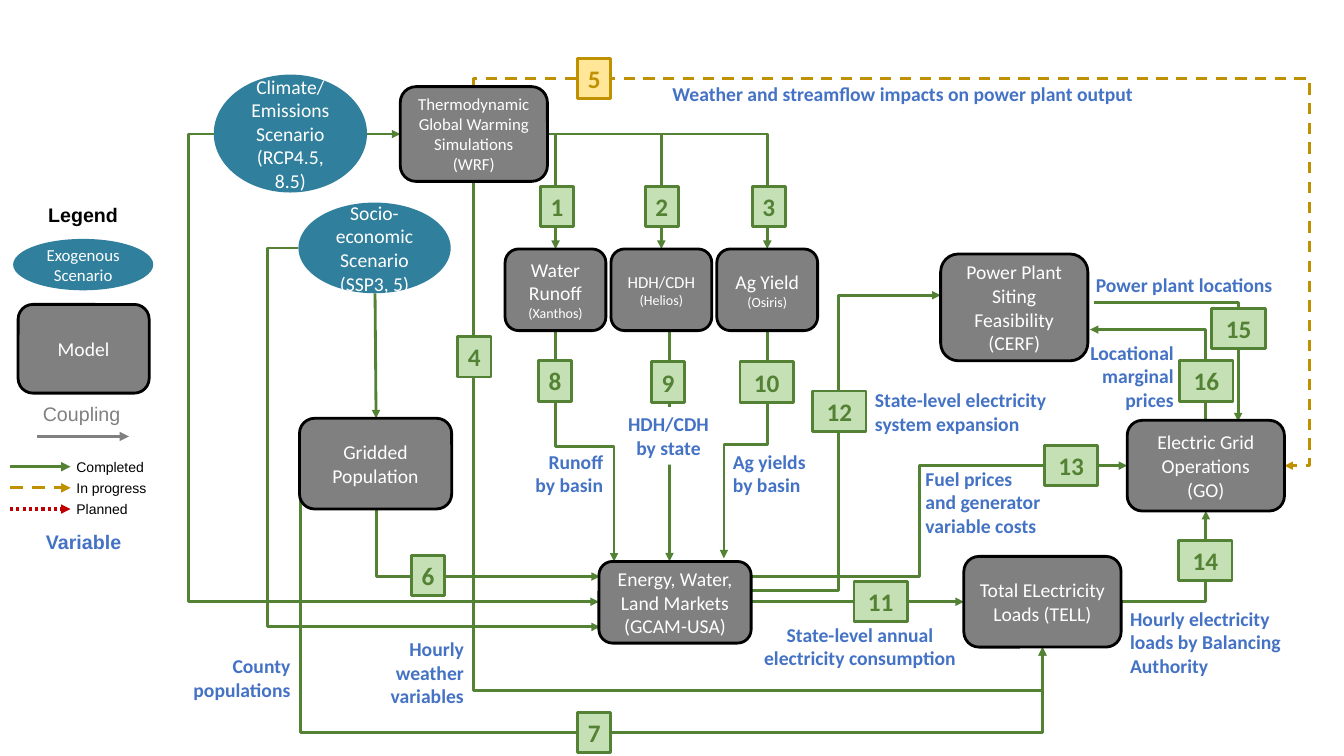
"""Build a flow diagram of coupled climate, energy and electricity models."""
from dataclasses import dataclass

import lxml.etree
import pptx
import pptx.dml.color
import pptx.enum.dml
import pptx.enum.shapes
import pptx.enum.text
import pptx.oxml.ns
import pptx.util

Inches = pptx.util.Inches
qn = pptx.oxml.ns.qn
Shape = pptx.enum.shapes.MSO_SHAPE
Dash = pptx.enum.dml.MSO_LINE
Align = pptx.enum.text.PP_ALIGN
Anchor = pptx.enum.text.MSO_ANCHOR

COLORS = {
    "scenario": "307F9C", "model": "808080", "outline": "000000", "white": "FFFFFF",
    "variable": "4472C4", "done": "548235", "done_fill": "C5E0B4",
    "progress": "BF9000", "progress_fill": "FFE699", "planned": "C00000",
}


@dataclass
class Arrow:
    points: list[tuple[float, float]]
    color: str = "done"
    width: float = 2
    dash: Dash | None = None
    end: str = "tailEnd"


@dataclass
class Node:
    text: str
    left: float
    top: float
    width: float
    height: float
    kind: Shape = Shape.ROUNDED_RECTANGLE
    size: int = 14
    last_size: int | None = None


@dataclass
class Label:
    text: str
    left: float
    top: float
    width: float
    height: float
    align: Align = Align.LEFT
    font: str = "Calibri"
    size: int = 14
    color: str = "variable"
    bold: bool = True
    wrap: bool = True
    fill: str | None = None


@dataclass
class Badge:
    number: int
    left: float
    top: float
    status: str = "done"


ARROWS = [
    Arrow([(2.12, 1.33), (1.87, 1.33), (1.87, 5.97), (5.94, 5.97)]),
    Arrow([(2.96, 2.46), (2.65, 2.46), (2.65, 6.22), (5.95, 6.22)]),
    Arrow([(3.73, 5.06), (3.73, 5.72), (5.95, 5.72)]),
    Arrow([(11.12, 5.97), (11.96, 5.97), (11.96, 5.07)]),
    Arrow([(4.7, 0.86), (4.7, 0.78), (12.99, 0.78), (12.99, 4.62), (12.74, 4.62)],
          "progress", dash=Dash.DASH),
    Arrow([(7.45, 5.97), (9.56, 5.97)]),
    Arrow([(4.7, 1.8), (4.7, 6.85), (10.34, 6.85), (10.34, 6.42)]),
    Arrow([(7.45, 5.72), (9.12, 5.72), (9.12, 4.62), (11.18, 4.62)]),
    Arrow([(10.81, 3.27), (11.96, 3.27), (11.96, 4.17)], end="headEnd"),
    Arrow([(10.85, 3), (12.28, 3), (12.28, 4.18)]),
    Arrow([(3.72, 2.91), (3.73, 4.15)]),
    Arrow([(3.64, 1.33), (3.97, 1.33)]),
    Arrow([(2.97, 4.61), (2.98, 4.61), (2.98, 7.27), (10.34, 7.27), (10.34, 6.42)]),
    Arrow([(7.45, 5.86), (8.32, 5.86), (8.32, 2.93), (9.33, 2.93)]),
    *(Arrow([(5.43, 1.33), (x, 1.33), (x, 2.47)]) for x in (5.51, 6.56, 7.61)),
    Arrow([(6.64, 3.28), (6.64, 5.57)]),
    Arrow([(7.61, 3.28), (7.61, 4.41), (7.18, 4.41), (7.18, 5.54)]),
    Arrow([(5.51, 3.28), (5.51, 4.43), (6.09, 4.43), (6.09, 5.57)]),
    Arrow([(0.37, 4.33), (1.28, 4.33)], "model", 2.25),
]

LABELS = [
    Label("Power plant locations", 10.77, 2.66, 1.96, 0.34),
    Label("Hourly electricity loads by Balancing Authority", 11.11, 5.97, 1.85, 0.81),
    Label("State-level annual electricity consumption", 7.45, 6.13, 2.16, 0.57, Align.CENTER),
    Label("State-level electricity system expansion", 8.58, 3.8, 1.9, 0.57),
    Label("Weather and streamflow impacts on power plant output", 6.57, 0.76, 6.06, 0.34),
    Label("Fuel prices and generator variable costs", 9.08, 4.58, 1.35, 0.81),
    Label("Locational marginal prices", 10.69, 3.33, 1.05, 0.81, Align.RIGHT),
    Label("Hourly weather variables", 3.77, 6.27, 0.93, 0.81, Align.RIGHT),
    Label("County populations", 1.78, 6.44, 1.2, 0.57, Align.RIGHT),
    Label("Runoff by basin", 5.19, 4.41, 0.89, 0.57, Align.RIGHT),
    Label("HDH/CDH\nby state", 6.12, 4.04, 1.02, 0.57, Align.CENTER, fill="white"),
    Label("Ag yields\nby basin", 7.17, 4.41, 0.96, 0.57),
    Label("Legend", 0.38, 1.96, 0.9, 0.34, font="Arial", color="outline", wrap=False),
    Label("Coupling", 0.31, 3.94, 1.0, 0.34, Align.CENTER, "Arial", color="model",
          bold=False, wrap=False),
    Label("Variable", 0.16, 5.21, 1.34, 0.34, Align.CENTER, "Arial"),
]

LEGEND_ROWS = [("Completed", "done", None), ("In progress", "progress", Dash.DASH),
               ("Planned", "planned", Dash.ROUND_DOT)]
for row, (status, status_color, status_dash) in enumerate(LEGEND_ROWS):
    y = 4.63 + 0.21 * row
    ARROWS.append(Arrow([(0.1, y), (0.7, y)], status_color, 2.25, status_dash))
    LABELS.append(Label(status, 0.66, y - 0.13, 0.9, 0.27, font="Arial", size=10,
                        color="outline", bold=False))

IMPACT_MODELS = [("Water Runoff\n(Xanthos)", 14), ("HDH/CDH\n(Helios)", 12),
                 ("Ag Yield\n(Osiris)", 14)]
NODES = [
    Node("Climate/\nEmissions Scenario\n(RCP4.5, 8.5)", 2.12, 0.74, 1.52, 1.17, Shape.OVAL),
    Node("Socio-economic Scenario\n(SSP3, 5)", 2.96, 2.01, 1.51, 0.9, Shape.OVAL),
    Node("Exogenous Scenario", 0.13, 2.37, 1.39, 0.51, Shape.OVAL, 12),
    Node("Model", 0.18, 3.02, 1.3, 0.88),
    Node("Electric Grid Operations\n(GO)", 11.18, 4.17, 1.56, 0.9),
    Node("Energy, Water, Land Markets\n(GCAM-USA)", 5.94, 5.57, 1.51, 0.81),
    Node("Total ELectricity Loads (TELL)", 9.56, 5.52, 1.56, 0.9),
    Node("Power Plant Siting Feasibility\n(CERF)", 9.33, 2.52, 1.46, 1.06),
    Node("Thermodynamic Global Warming Simulations (WRF)", 3.97, 0.86, 1.46, 0.94, size=12),
    Node("Gridded\nPopulation", 2.97, 4.15, 1.51, 0.9),
    *(Node(name, 5.01 + 1.05 * column, 2.47, 1, 0.81, size=size, last_size=10)
      for column, (name, size) in enumerate(IMPACT_MODELS)),
]

BADGES = [
    Badge(1, 5.36, 1.85), Badge(2, 6.4, 1.85), Badge(3, 7.46, 1.85), Badge(4, 4.54, 3.34),
    Badge(5, 5.73, 0.58, "progress"), Badge(6, 4.08, 5.51), Badge(7, 5.73, 7.07),
    Badge(8, 5.34, 3.58), Badge(9, 6.46, 3.59), Badge(10, 7.34, 3.59),
    Badge(11, 8.47, 5.77), Badge(12, 8.06, 3.88), Badge(13, 10.36, 4.42),
    Badge(14, 11.69, 5.36), Badge(15, 12.02, 3.06), Badge(16, 11.7, 3.58),
]


def rgb(name: str) -> pptx.dml.color.RGBColor:
    return pptx.dml.color.RGBColor.from_string(COLORS[name])


def write_text(box, text: str, *, size: int, color: str, font: str = "Calibri",
               bold: bool = False, align: Align = Align.CENTER, wrap: bool = True,
               anchor: Anchor = Anchor.TOP, last_size: int | None = None) -> None:
    frame = box.text_frame
    frame.word_wrap = wrap
    frame.vertical_anchor = anchor
    lines = text.split("\n")
    for index, line in enumerate(lines):
        para = frame.add_paragraph() if index else frame.paragraphs[0]
        para.alignment = align
        span = para.add_run()
        span.text = line
        span.font.name = font
        span.font.bold = bold
        is_last = index == len(lines) - 1
        span.font.size = pptx.util.Pt(last_size if last_size and is_last else size)
        span.font.color.rgb = rgb(color)


def add_box(page, kind: Shape, bounds: tuple, fill: str, outline: str | None):
    box = page.shapes.add_shape(kind, *map(Inches, bounds))
    box.shadow.inherit = False
    box.fill.solid()
    box.fill.fore_color.rgb = rgb(fill)
    if outline:
        box.line.color.rgb = rgb(outline)
        box.line.width = pptx.util.Pt(2)
    else:
        box.line.fill.background()
    return box


def bend(connector, points: list[tuple[float, float]]) -> None:
    start, end = points[0], points[-1]
    delta = [end[axis] - start[axis] for axis in (0, 1)]
    first = 0 if points[1][1] == start[1] else 1
    properties = connector.element.spPr
    if first:
        width, height = abs(delta[1]), abs(delta[0])
        connector.left = Inches((start[0] + end[0] - width) / 2)
        connector.top = Inches((start[1] + end[1] - height) / 2)
        connector.width, connector.height = Inches(width), Inches(height)
        frame = properties.find(qn("a:xfrm"))
        rightward = delta[0] > 0
        frame.set("rot", str((270 if rightward else 90) * 60000))
        frame.set("flipH", "1" if rightward else "0")
        frame.set("flipV", "0")
    geometry = properties.find(qn("a:prstGeom"))
    geometry.set("prst", f"bentConnector{len(points) - 1}")
    guides = geometry.find(qn("a:avLst"))
    if guides is None:
        guides = lxml.etree.SubElement(geometry, qn("a:avLst"))
    for number in range(1, len(points) - 2):
        axis = (first + number - 1) % 2
        ratio = (points[number][axis] - start[axis]) / delta[axis]
        lxml.etree.SubElement(guides, qn("a:gd"), name=f"adj{number}",
                              fmla=f"val {round(ratio * 100000)}")


def draw_arrow(page, arrow: Arrow) -> None:
    kinds = pptx.enum.shapes.MSO_CONNECTOR
    bent = len(arrow.points) > 2
    ends = map(Inches, arrow.points[0] + arrow.points[-1])
    connector = page.shapes.add_connector(kinds.ELBOW if bent else kinds.STRAIGHT, *ends)
    if bent:
        bend(connector, arrow.points)
    connector.line.color.rgb = rgb(arrow.color)
    connector.line.width = pptx.util.Pt(arrow.width)
    if arrow.dash:
        connector.line.dash_style = arrow.dash
    properties = connector.element.spPr
    lxml.etree.SubElement(properties.find(qn("a:ln")), qn(f"a:{arrow.end}"), type="triangle")
    lxml.etree.SubElement(properties, qn("a:effectLst"))


def draw_label(page, label: Label) -> None:
    bounds = (label.left, label.top, label.width, label.height)
    if label.fill:
        box = add_box(page, Shape.RECTANGLE, bounds, label.fill, None)
    else:
        box = page.shapes.add_textbox(*map(Inches, bounds))
    write_text(box, label.text, size=label.size, color=label.color, font=label.font,
               bold=label.bold, align=label.align, wrap=label.wrap)


def draw_node(page, node: Node) -> None:
    fill, outline = ("scenario", None) if node.kind == Shape.OVAL else ("model", "outline")
    box = add_box(page, node.kind, (node.left, node.top, node.width, node.height), fill, outline)
    write_text(box, node.text, size=node.size, color="white", anchor=Anchor.MIDDLE,
               last_size=node.last_size)


def draw_badge(page, badge: Badge) -> None:
    width = 0.33 if badge.number < 10 else 0.53
    box = add_box(page, Shape.RECTANGLE, (badge.left, badge.top, width, 0.4),
                  f"{badge.status}_fill", badge.status)
    write_text(box, str(badge.number), size=18, color=badge.status, bold=True)


def main() -> None:
    deck = pptx.Presentation()
    deck.slide_width, deck.slide_height = Inches(13.33), Inches(7.5)
    page = deck.slides.add_slide(deck.slide_layouts[6])
    for items, draw in ((ARROWS, draw_arrow), (LABELS, draw_label),
                        (NODES, draw_node), (BADGES, draw_badge)):
        for item in items:
            draw(page, item)
    deck.save("out.pptx")


if __name__ == "__main__":
    main()
